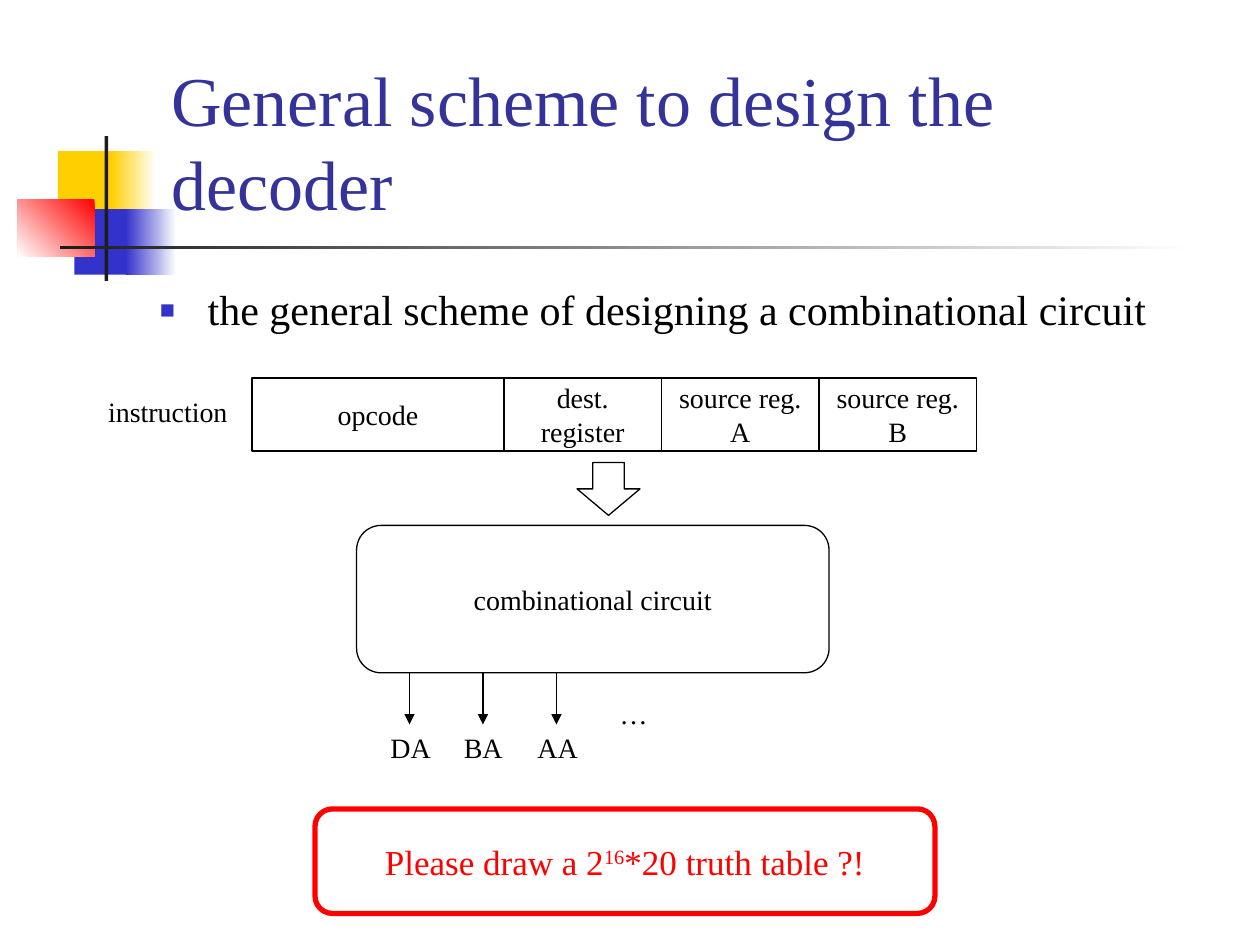
from lxml import etree
from pptx import Presentation
from pptx import util as u
from pptx.dml.color import RGBColor
from pptx.enum import shapes, text
from pptx.oxml.ns import qn

BLACK, WHITE, RED = "000000", "FFFFFF", "FF0000"
YELLOW, BLUE, DARK = "FFCF01", "3333CC", "1C1C1C"
SHAPE = shapes.MSO_SHAPE


def color(value):
    return RGBColor.from_string(value)


def add_xml(parent, tag, **attributes):
    return etree.SubElement(parent, qn(tag), attributes)


class SlideBuilder:
    """Holds the text style and the slide being built."""

    font_name = "Times New Roman"
    label_size = 16

    def __init__(self, slide):
        self.slide = slide

    def fill_text(self, frame, lines, size=label_size, ink=BLACK, align="LEFT", anchor="TOP", wrap=False):
        """Make one paragraph per line; a line is text or a list of (text, raised) runs."""
        frame_format = {
            "word_wrap": wrap,
            "auto_size": text.MSO_AUTO_SIZE.NONE,
            "vertical_anchor": getattr(text.MSO_ANCHOR, anchor),
        }
        for name, value in frame_format.items():
            setattr(frame, name, value)
        for index, line in enumerate(lines):
            paragraph = frame.add_paragraph() if index else frame.paragraphs[0]
            paragraph.alignment = getattr(text.PP_ALIGN, align)
            for words, raised in [(line, False)] if isinstance(line, str) else line:
                run = paragraph.add_run()
                run.text = words
                for name, value in {"name": self.font_name, "size": u.Pt(size)}.items():
                    setattr(run.font, name, value)
                run.font.color.rgb = color(ink)
                if raised:
                    run._r.get_or_add_rPr().set("baseline", "30000")

    def title(self, box, words):
        shape = self.slide.shapes.title
        for name, value in zip(("left", "top", "width", "height"), box):
            setattr(shape, name, u.Inches(value))
        self.fill_text(shape.text_frame, [words], 40, "333399", anchor="BOTTOM", wrap=True)

    def label(self, box, words, **style):
        shape = self.slide.shapes.add_textbox(*map(u.Inches, box))
        self.fill_text(shape.text_frame, [words], **style)
        return shape

    def bullet(self, box, words):
        shape = self.label(box, words, size=24, wrap=True)
        paragraph = shape.text_frame.paragraphs[0]
        properties = paragraph._p.get_or_add_pPr()
        indent = u.Inches(0.38)
        properties.set("marL", str(indent))
        properties.set("indent", str(-indent))
        add_xml(add_xml(properties, "a:buClr"), "a:srgbClr", val=BLUE)
        add_xml(properties, "a:buSzPct", val="60000")
        add_xml(properties, "a:buFont", typeface=self.font_name)
        add_xml(properties, "a:buChar", char="■")
        paragraph.line_spacing = 0.9

    def shape(self, kind, box):
        shape = self.slide.shapes.add_shape(kind, *map(u.Inches, box))
        shape.shadow.inherit = False
        return shape

    def ornament(self, box, start, end=None, angle=180):
        """Borderless block, plain or with a gradient from start to end."""
        shape = self.shape(SHAPE.RECTANGLE, box)
        shape.line.fill.background()
        if end is None:
            shape.fill.solid()
            shape.fill.fore_color.rgb = color(start)
        else:
            shape.fill.gradient()
            shape.fill.gradient_angle = angle
            for stop, value, position in zip(shape.fill.gradient_stops, (start, end), (0, 1)):
                stop.color.rgb = color(value)
                stop.position = position

    def outline(self, kind, box, lines=(), ink=BLACK, weight=0.75, size=label_size):
        shape = self.shape(kind, box)
        shape.fill.background()
        shape.line.color.rgb = color(ink)
        shape.line.width = u.Pt(weight)
        self.fill_text(shape.text_frame, lines, size, ink, "CENTER", "MIDDLE")

    def arrow(self, x, top, bottom):
        connector = self.slide.shapes.add_connector(
            shapes.MSO_CONNECTOR.STRAIGHT, *map(u.Inches, (x, top, x, bottom)))
        connector.line.color.rgb = color(BLACK)
        connector.line.width = u.Pt(0.75)
        add_xml(connector.line._get_or_add_ln(), "a:tailEnd", type="triangle")
        add_xml(connector._element.spPr, "a:effectLst")


def main():
    presentation = Presentation()
    presentation.slide_width = u.Inches(10)
    presentation.slide_height = u.Inches(7.5)
    slide = presentation.slides.add_slide(presentation.slide_layouts[5])
    builder = SlideBuilder(slide)

    # Corner ornament and rule
    builder.ornament((0.46, 1.2, 0.48, 0.52), YELLOW)
    builder.ornament((0.88, 1.2, 0.36, 0.52), WHITE, YELLOW)
    builder.ornament((0.59, 1.66, 0.46, 0.52), BLUE)
    builder.ornament((1, 1.66, 0.4, 0.52), WHITE, BLUE)
    builder.ornament((0.14, 1.58, 0.61, 0.46), RED, WHITE, angle=225)
    builder.ornament((0.83, 1.08, 0.03, 1.15), DARK)
    builder.ornament((0.48, 1.95, 9, 0.03), WHITE, DARK)

    # Title and bullet
    builder.title((1.26, 0.23, 8.52, 1.6), "General scheme to design the decoder")
    builder.bullet((1.17, 2.25, 8.5, 0.54), "the general scheme of designing a combinational circuit")

    # Instruction fields, side by side
    builder.label((0.76, 3.08, 1.15, 0.37), "instruction")
    fields = [
        (2, ["opcode"]),
        (1.25, ["dest.", "register"]),
        (1.25, ["source reg.", "A"]),
        (1.25, ["source reg.", "B"]),
    ]
    left = 2
    for width, lines in fields:
        builder.outline(SHAPE.RECTANGLE, (left, 3, width, 0.58), lines)
        left += width

    # Combinational circuit
    builder.outline(SHAPE.DOWN_ARROW, (4.58, 3.67, 0.5, 0.42))
    builder.outline(SHAPE.ROUNDED_RECTANGLE, (2.83, 4.17, 3.75, 1.17), ["combinational circuit"])

    # Output signals
    for index, signal in enumerate(("DA", "BA", "AA")):
        x = 3.25 + index * 7 / 12
        builder.arrow(x, 5.33, 5.75)
        builder.label((x - 0.25, 5.75, 0.52, 0.37), signal)
    builder.label((4.82, 5.48, 0.42, 0.37), "…")

    # Closing remark
    remark = [("Please draw a 2", False), ("16", True), ("*20 truth table ?!", False)]
    builder.outline(SHAPE.ROUNDED_RECTANGLE, (2.5, 6.42, 4.92, 0.83), [remark], RED, 3, 20)

    # Title text stays in front of the ornament
    slide.shapes._spTree.append(slide.shapes.title._element)

    presentation.save("out.pptx")


if __name__ == "__main__":
    main()
